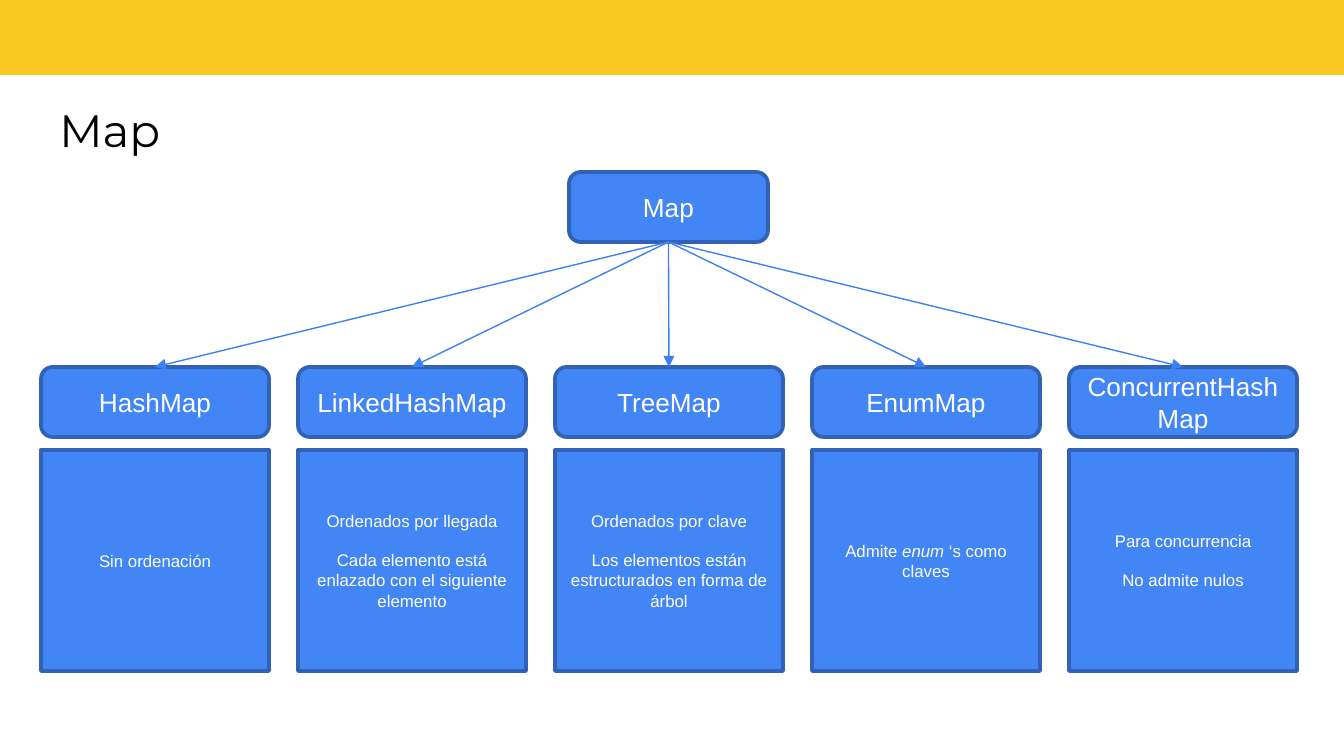
"""Build a slide that shows the Map interface and its five implementations."""
import dataclasses
import typing

import lxml.etree
import pptx
import pptx.dml.color
import pptx.enum.shapes
import pptx.enum.text
import pptx.oxml.ns
import pptx.util

PX = 914400 / 134.4
YELLOW, BLUE, NAVY, SKY = "F8C823", "4285F4", "3162B5", "3C81F3"
WHITE, BLACK = "FFFFFF", "000000"
RECT = pptx.enum.shapes.MSO_SHAPE.RECTANGLE
ROUNDED = pptx.enum.shapes.MSO_SHAPE.ROUNDED_RECTANGLE
CENTER = pptx.enum.text.PP_ALIGN.CENTER
MIDDLE = pptx.enum.text.MSO_ANCHOR.MIDDLE
COLUMN_LEFT, COLUMN_STEP, COLUMN_WIDTH = 41, 257, 228
HEAD_TOP, HEAD_HEIGHT = 367, 70
BODY_TOP, BODY_HEIGHT = 450, 221


class Span(typing.NamedTuple):
    text: str
    italic: bool = False


@dataclasses.dataclass(frozen=True)
class Box:
    left: int
    top: int
    width: int
    height: int


@dataclasses.dataclass(frozen=True)
class Implementation:
    name: str
    notes: tuple[tuple[Span, ...], ...]


IMPLEMENTATIONS = (
    Implementation("HashMap", ((Span("Sin ordenación"),),)),
    Implementation("LinkedHashMap", (
        (Span("Ordenados por llegada"),),
        (Span("Cada elemento está enlazado con el siguiente elemento"),),
    )),
    Implementation("TreeMap", (
        (Span("Ordenados por clave"),),
        (Span("Los elementos están estructurados en forma de árbol"),),
    )),
    Implementation("EnumMap", (
        (Span("Admite "), Span("enum ", italic=True), Span("‘s como claves")),
    )),
    Implementation("ConcurrentHashMap", (
        (Span("Para concurrencia"),),
        (Span("No admite nulos"),),
    )),
)


def px(length: int) -> int:
    return round(length * PX)


def rgb(color: str) -> pptx.dml.color.RGBColor:
    return pptx.dml.color.RGBColor.from_string(color)


def place(shape, box: Box) -> None:
    shape.left, shape.top = px(box.left), px(box.top)
    shape.width, shape.height = px(box.width), px(box.height)


def add_text(para, text: str, *, size: float, font: str = "Arial",
             color: str = WHITE, italic: bool = False) -> None:
    span = para.add_run()
    span.text = text
    span.font.name = font
    span.font.size = pptx.util.Pt(size)
    span.font.italic = italic
    span.font.color.rgb = rgb(color)


def add_panel(page, kind, box: Box, fill: str, line: str | None = None):
    shape = page.shapes.add_shape(kind, 0, 0, 0, 0)
    place(shape, box)
    shape.shadow.inherit = False
    shape.fill.solid()
    shape.fill.fore_color.rgb = rgb(fill)
    if line:
        shape.line.color.rgb = rgb(line)
        shape.line.width = pptx.util.Pt(2)
    else:
        shape.line.fill.background()
    return shape


def add_node(page, kind, box: Box, notes: tuple[tuple[Span, ...], ...], size: float):
    node = add_panel(page, kind, box, BLUE, NAVY)
    frame = node.text_frame
    frame.word_wrap = True
    frame.vertical_anchor = MIDDLE
    for index, spans in enumerate(notes):
        para = frame.add_paragraph() if index else frame.paragraphs[0]
        para.alignment = CENTER
        if index:
            para.space_before = pptx.util.Pt(10.3)
        for span in spans:
            add_text(para, span.text, size=size, italic=span.italic)
    return node


def add_arrow(page, parent, child) -> None:
    arrow = page.shapes.add_connector(
        pptx.enum.shapes.MSO_CONNECTOR.STRAIGHT, 0, 0, 0, 0)
    arrow.begin_connect(parent, 2)
    arrow.end_connect(child, 0)
    arrow.line.color.rgb = rgb(SKY)
    arrow.line.width = pptx.util.Pt(0.75)
    properties = arrow.element.spPr
    outline = properties.find(pptx.oxml.ns.qn("a:ln"))
    lxml.etree.SubElement(outline, pptx.oxml.ns.qn("a:tailEnd"), type="triangle")
    lxml.etree.SubElement(properties, pptx.oxml.ns.qn("a:effectLst"))


def add_title(page, text: str) -> None:
    title = page.shapes.title
    place(title, Box(46, 87, 1250, 85))
    frame = title.text_frame
    frame.word_wrap = True
    frame.auto_size = pptx.enum.text.MSO_AUTO_SIZE.NONE
    frame.vertical_anchor = MIDDLE
    frame.margin_left = frame.margin_right = pptx.util.Inches(0.1)
    frame.margin_top = frame.margin_bottom = pptx.util.Inches(0.1)
    para = frame.paragraphs[0]
    para.alignment = pptx.enum.text.PP_ALIGN.LEFT
    add_text(para, text, size=24.3, font="Montserrat", color=BLACK)


def main() -> None:
    deck = pptx.Presentation()
    deck.slide_width, deck.slide_height = px(1344), px(756)
    page = deck.slides.add_slide(deck.slide_layouts[5])
    add_panel(page, RECT, Box(-1, -7, 1348, 82), YELLOW)
    add_title(page, "Map")
    root = add_node(page, ROUNDED, Box(569, 172, 199, HEAD_HEIGHT), ((Span("Map"),),), 14)
    for index, item in enumerate(IMPLEMENTATIONS):
        left = COLUMN_LEFT + index * COLUMN_STEP
        head_box = Box(left, HEAD_TOP, COLUMN_WIDTH, HEAD_HEIGHT)
        body_box = Box(left, BODY_TOP, COLUMN_WIDTH, BODY_HEIGHT)
        head = add_node(page, ROUNDED, head_box, ((Span(item.name),),), 14)
        add_node(page, RECT, body_box, item.notes, 9)
        add_arrow(page, root, head)
    deck.save("out.pptx")


if __name__ == "__main__":
    main()
